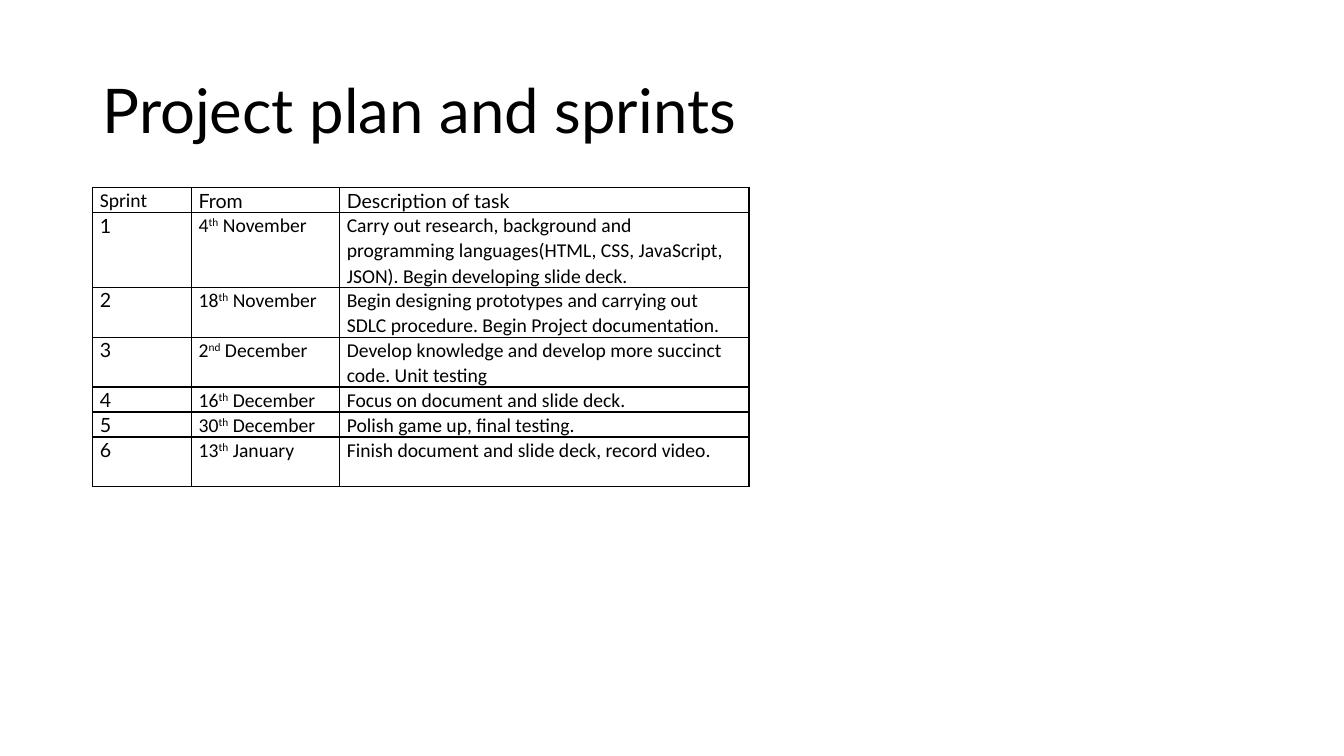
from lxml import etree
from pptx import Presentation
from pptx.dml.color import RGBColor
from pptx.enum.text import MSO_ANCHOR
from pptx.oxml.ns import qn
from pptx.util import Inches, Pt

MIDDLE = MSO_ANCHOR.MIDDLE
BLACK = "000000"
HEADING_FONT, BODY_FONT = "Lato", "Calibri"

COL_WIDTHS = [0.98, 1.47, 4.06]
ROW_HEIGHTS = [0.23, 0.71, 0.47, 0.47, 0.23, 0.23, 0.49]
HEADERS = [("Sprint", BODY_FONT), ("From", HEADING_FONT),
           ("Description of task", HEADING_FONT)]
# Day, ordinal suffix, month, task
SPRINTS = [
    ("4", "th", " November",
     "Carry out research, background and programming languages"
     "(HTML, CSS, JavaScript, JSON). Begin developing slide deck."),
    ("18", "th", " November",
     "Begin designing prototypes and carrying out SDLC procedure. "
     "Begin Project documentation."),
    ("2", "nd", " December",
     "Develop knowledge and develop more succinct code. Unit testing"),
    ("16", "th", " December", "Focus on document and slide deck."),
    ("30", "th", " December", "Polish game up, final testing."),
    ("13", "th", " January", "Finish document and slide deck, record video."),
]


def rgb(color):
    return RGBColor.from_string(color)


def add_run(p, text, size=14, font=BODY_FONT, color=BLACK, superscript=False):
    r = p.add_run()
    r.text = text
    r.font.size = Pt(size)
    r.font.name = font
    r.font.color.rgb = rgb(color)
    if superscript:
        r.font._element.set("baseline", "30000")


def add_title(slide, text, left, top, width, height):
    box = slide.shapes.add_textbox(
        Inches(left), Inches(top), Inches(width), Inches(height))
    tf = box.text_frame
    tf.word_wrap = True
    tf.vertical_anchor = MIDDLE
    p = tf.paragraphs[0]
    p.line_spacing = 0.9
    add_run(p, text, size=44, font=HEADING_FONT)


def set_borders(cell, color=BLACK, width=0.5):
    tc_pr = cell._tc.get_or_add_tcPr()
    for side in ("lnL", "lnR", "lnT", "lnB"):
        ln = etree.SubElement(tc_pr, qn(f"a:{side}"), w=str(Pt(width)))
        fill = etree.SubElement(ln, qn("a:solidFill"))
        etree.SubElement(fill, qn("a:srgbClr"), val=color)


def style_cell(cell):
    """Set margins, borders and spacing; return the paragraph to write in."""
    cell.margin_left = cell.margin_right = Inches(0.07)
    cell.margin_top = cell.margin_bottom = 0
    set_borders(cell, width=1)
    cell.fill.background()
    p = cell.text_frame.paragraphs[0]
    p.line_spacing = 1.06
    p.space_after = Pt(8)
    return p


def add_sprint_table(slide, left, top):
    frame = slide.shapes.add_table(
        len(ROW_HEIGHTS), len(COL_WIDTHS), Inches(left), Inches(top),
        Inches(sum(COL_WIDTHS)), Inches(sum(ROW_HEIGHTS)))
    table = frame.table
    table.first_row = table.horz_banding = False
    for column, width in zip(table.columns, COL_WIDTHS):
        column.width = Inches(width)
    for row, height in zip(table.rows, ROW_HEIGHTS):
        row.height = Inches(height)

    for cell, (text, font) in zip(table.rows[0].cells, HEADERS):
        add_run(style_cell(cell), text, font=font)
    for number, (day, suffix, month, task) in enumerate(SPRINTS, 1):
        sprint, start, description = map(style_cell, table.rows[number].cells)
        add_run(sprint, str(number), font=HEADING_FONT)
        add_run(start, day)
        add_run(start, suffix, superscript=True)
        add_run(start, month)
        add_run(description, task)


def main():
    prs = Presentation()
    prs.slide_width, prs.slide_height = Inches(13.33), Inches(7.5)
    slide = prs.slides.add_slide(prs.slide_layouts[6])
    add_title(slide, "Project plan and sprints", 0.92, 0.4, 11.5, 1.45)
    add_sprint_table(slide, 0.92, 1.86)
    prs.save("out.pptx")


if __name__ == "__main__":
    main()
